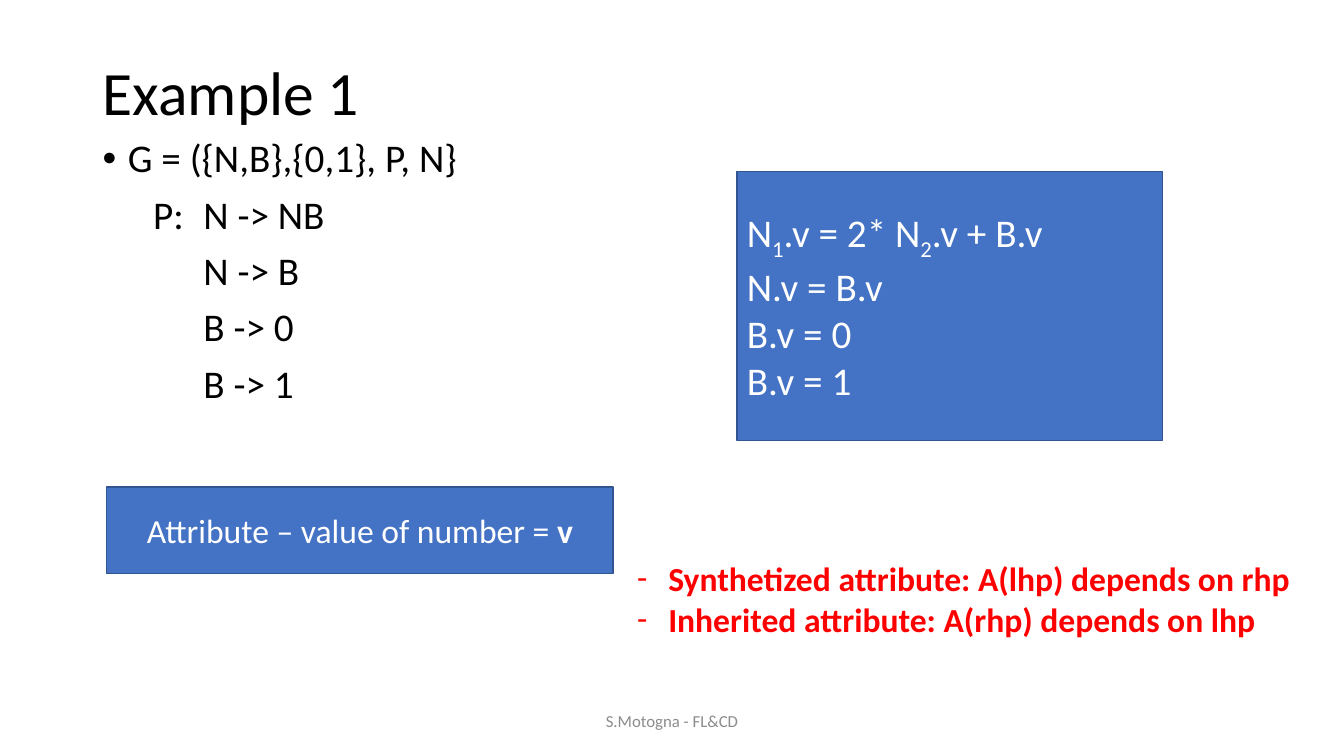
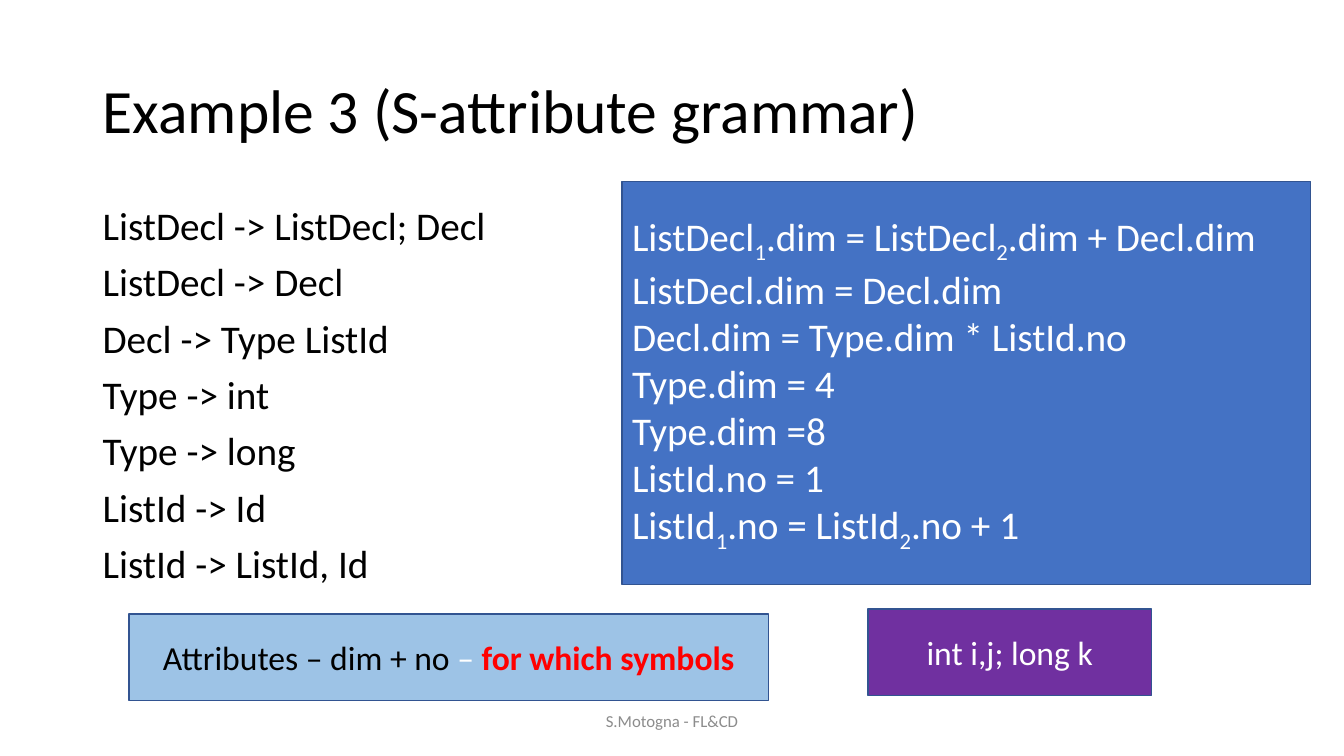
from dataclasses import dataclass

from lxml import etree
from pptx import Presentation
from pptx import util as u
from pptx.dml.color import RGBColor
from pptx.enum import shapes, text
from pptx.oxml import ns

SLIDE_W, SLIDE_H = u.Inches(13.333), u.Inches(7.5)
LEFT, CENTER = text.PP_ALIGN.LEFT, text.PP_ALIGN.CENTER
TOP, MIDDLE = text.MSO_ANCHOR.TOP, text.MSO_ANCHOR.MIDDLE


@dataclass(frozen=True)
class Theme:
    font: str = "Calibri"
    ink: str = "000000"
    paper: str = "FFFFFF"
    muted: str = "8C8C8C"
    accent: str = "FF0000"
    panel: str = "4472C4"
    pale_panel: str = "9DC3E6"
    code_panel: str = "7030A0"
    outline: str = "325491"
    title_size: int = 44
    body_size: int = 28
    note_size: int = 24
    footer_size: int = 12


THEME = Theme()
BULLET_FONTS = {"•": "Arial", "-": THEME.font}
BODY_SPACING = {"line_spacing": 0.9, "space_before": u.Pt(10)}
BOX_HEIGHT = 11.47  # height of the single-line boxes, % of the slide


# --- Geometry and text helpers ---
def area(left, top, width, height):
    """Turn percentages of the slide into a position and a size."""
    return (round(SLIDE_W * left / 100), round(SLIDE_H * top / 100),
            round(SLIDE_W * width / 100), round(SLIDE_H * height / 100))


def set_all(target, formats):
    for name, value in formats.items():
        setattr(target, name, value)


def add_run(paragraph, words, size, color, bold=False, subscript=False):
    run = paragraph.add_run()
    run.text = words
    set_all(run.font, {"name": THEME.font, "size": u.Pt(size), "bold": bold})
    run.font.color.rgb = RGBColor.from_string(color)
    if subscript:
        run.font._element.set("baseline", "-25000")


def add_bullet(paragraph, mark, indent):
    props = paragraph._p.get_or_add_pPr()
    props.set("marL", str(u.Inches(indent)))
    props.set("indent", str(-u.Inches(indent)))
    etree.SubElement(props, ns.qn("a:buFont"), typeface=BULLET_FONTS[mark])
    etree.SubElement(props, ns.qn("a:buChar"), char=mark)


def write(shape, lines, size, color, align=LEFT, anchor=TOP, spacing=None):
    """Each line is a string or a list of (words, run formats)."""
    frame = shape.text_frame
    set_all(frame, {"word_wrap": True, "vertical_anchor": anchor})
    for index, line in enumerate(lines):
        paragraph = frame.paragraphs[0] if index == 0 else frame.add_paragraph()
        set_all(paragraph, {"alignment": align, **(spacing or {})})
        for words, formats in [(line, {})] if isinstance(line, str) else line:
            add_run(paragraph, words, **{"size": size, "color": color, **formats})
    return frame


def subscripted(line):
    """Lower every second part of a line split at the bars."""
    return [(part, {"subscript": index % 2 == 1})
            for index, part in enumerate(line.split("|"))]


# --- Slide elements ---
def add_text(slide, place, lines, size, color, **layout):
    return write(slide.shapes.add_textbox(*area(*place)), lines, size, color, **layout)


def add_panel(slide, place, lines, size, fill=THEME.panel, color=THEME.paper, align=CENTER):
    panel = slide.shapes.add_shape(shapes.MSO_SHAPE.RECTANGLE, *area(*place))
    panel.shadow.inherit = False
    panel.fill.solid()
    panel.fill.fore_color.rgb = RGBColor.from_string(fill)
    panel.line.color.rgb = RGBColor.from_string(THEME.outline)
    panel.line.width = u.Pt(1)
    write(panel, lines, size, color, align=align, anchor=MIDDLE)


def add_rules(slide, place, rules):
    add_panel(slide, place, [subscripted(rule) for rule in rules],
              THEME.body_size, align=LEFT)


def add_productions(slide, top, lines):
    return add_text(slide, (6.9, top, 86.25, 90.13 - top), lines,
                    THEME.body_size, THEME.ink, spacing=BODY_SPACING)


def new_slide(deck, title, title_height):
    slide = deck.slides.add_slide(deck.slide_layouts[6])
    add_text(slide, (6.9, 5.33, 86.25, title_height), [title], THEME.title_size,
             THEME.ink, anchor=MIDDLE, spacing={"line_spacing": 0.9})
    add_text(slide, (33.13, 92.67, 33.75, 5.33), ["S.Motogna - FL&CD"],
             THEME.footer_size, THEME.muted, align=CENTER, anchor=MIDDLE)
    return slide


# --- Slides ---
def binary_number_slide(deck):
    slide = new_slide(deck, "Example 1", 14.67)
    grammar = add_productions(slide, 17.73, [
        "G = ({N,B},{0,1}, P, N}",
        "\tP:\tN -> NB", "\t\tN -> B", "\t\tB -> 0", "\t\tB -> 1"])
    add_bullet(grammar.paragraphs[0], "•", 0.25)
    add_rules(slide, (54.84, 22.67, 31.66, 35.6), [
        "N|1|.v = 2* N|2|.v + B.v", "N.v = B.v", "B.v = 0", "B.v = 1"])
    add_panel(slide, (7.95, 64.4, 37.66, BOX_HEIGHT),
              [[("Attribute – value of number = ", {}), ("v", {"bold": True})]],
              THEME.note_size)
    # Kinds of attribute
    kinds = ["Synthetized attribute: A(lhp) depends on rhp",
             "Inherited attribute: A(rhp) depends on lhp"]
    definitions = add_text(slide, (46.66, 73.2, 50.94, 12.13),
                           [[(kind, {"bold": True})] for kind in kinds],
                           THEME.note_size, THEME.accent)
    for definition in definitions.paragraphs:
        add_bullet(definition, "-", 0.31)


def declaration_slide(deck):
    slide = new_slide(deck, "Example 3 (S-attribute grammar)", 19.33)
    add_productions(slide, 26.67, [
        "ListDecl -> ListDecl; Decl", "ListDecl -> Decl", "Decl -> Type ListId",
        "Type -> int", "Type -> long", "ListId -> Id", "ListId -> ListId, Id"])
    add_panel(slide, (9.6, 81.2, 47.56, BOX_HEIGHT),
              [[("Attributes – dim + no ", {}), ("– ", {"color": THEME.paper}),
                ("for which symbols", {"color": THEME.accent, "bold": True})]],
              THEME.note_size, fill=THEME.pale_panel, color=THEME.ink)
    add_rules(slide, (46.29, 24, 51.24, 53.33), [
        "ListDecl|1|.dim = ListDecl|2|.dim + Decl.dim", "ListDecl.dim = Decl.dim",
        "Decl.dim = Type.dim * ListId.no", "Type.dim = 4", "Type.dim =8",
        "ListId.no = 1", "ListId|1|.no = ListId|2|.no + 1"])
    add_panel(slide, (64.59, 80.53, 21.08, BOX_HEIGHT), ["int i,j; long k"],
              THEME.note_size, fill=THEME.code_panel)


def main():
    deck = Presentation()
    set_all(deck, {"slide_width": SLIDE_W, "slide_height": SLIDE_H})
    binary_number_slide(deck)
    declaration_slide(deck)
    deck.save("out.pptx")


if __name__ == "__main__":
    main()
